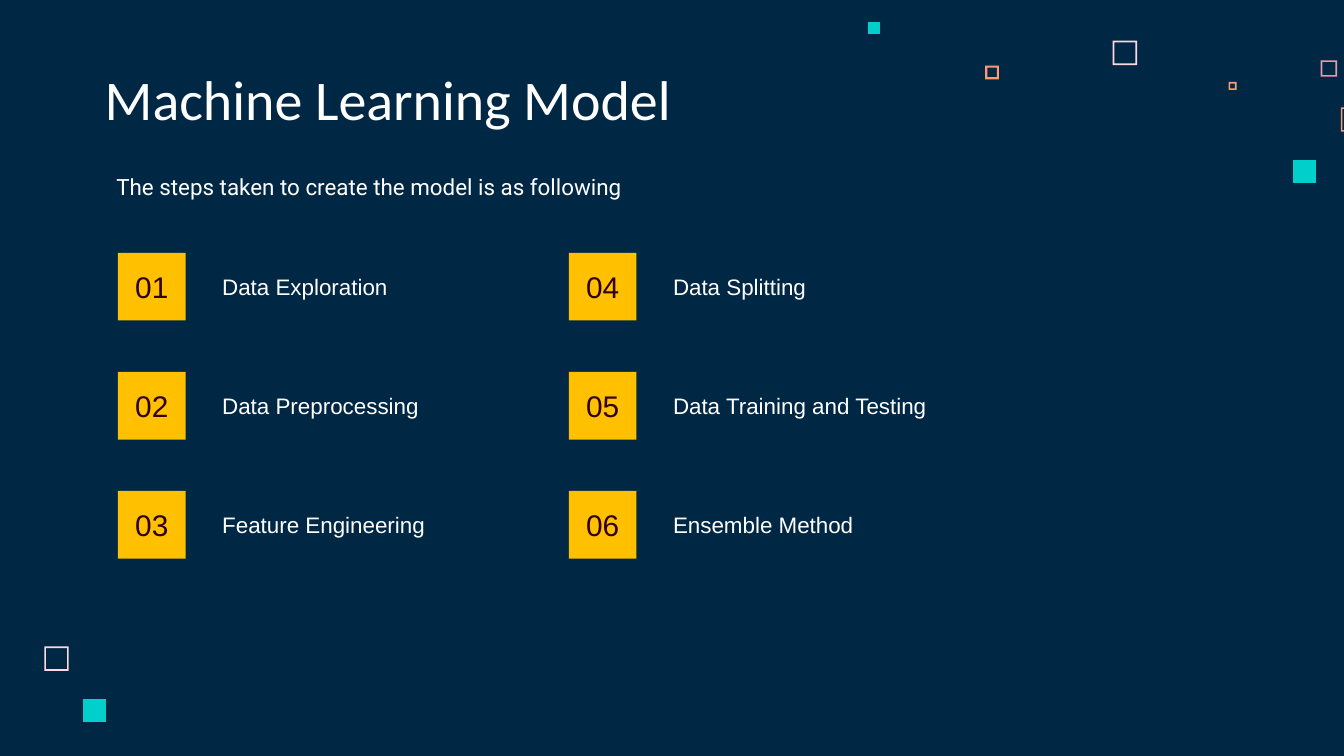
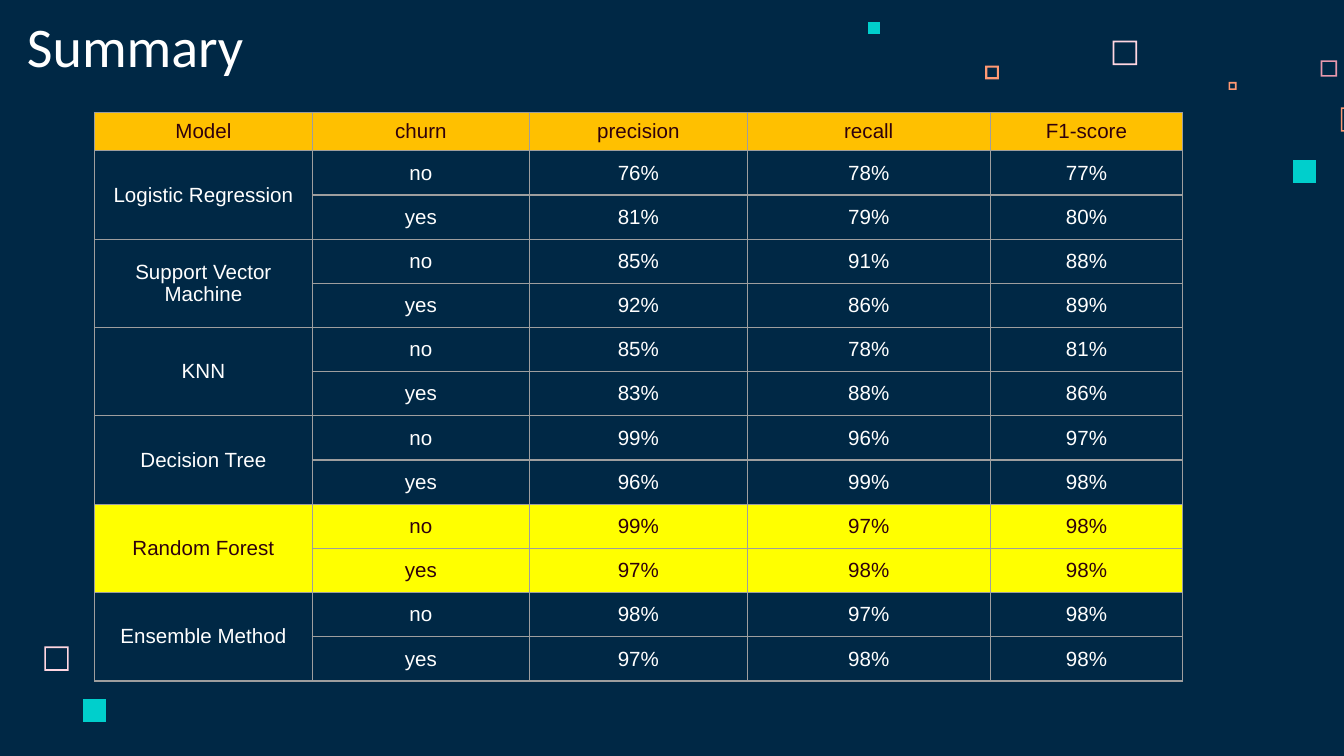
from itertools import product

from lxml.etree import SubElement
from pptx import Presentation
from pptx.dml.color import RGBColor
from pptx.enum.shapes import MSO_SHAPE
from pptx.enum.text import MSO_ANCHOR, MSO_AUTO_SIZE, PP_ALIGN
from pptx.oxml.ns import qn
from pptx.util import Cm, Pt

NAVY = RGBColor(0x00, 0x28, 0x45)
WHITE = RGBColor(0xFF, 0xFF, 0xFF)
MAROON = RGBColor(0x2F, 0x00, 0x0D)
AMBER = RGBColor(0xFF, 0xC0, 0x00)
YELLOW = RGBColor(0xFF, 0xFF, 0x00)
TEAL = RGBColor(0x00, 0xCF, 0xCC)
BLUSH = RGBColor(0xFF, 0xD6, 0xE1)
ROSE = RGBColor(0xE8, 0x98, 0xAC)
CORAL = RGBColor(0xFF, 0x99, 0x73)
GREY = RGBColor(0x9E, 0x9E, 0x9E)

# Confetti squares: left, top, side, rim thickness (0 = solid), colour
CONFETTI = [
    (21.03, 0.77, 0.46, 0.03, BLUSH),
    (24.96, 1.14, 0.31, 0.03, ROSE),
    (23.22, 1.55, 0.15, 0.03, CORAL),
    (25.34, 2.03, 0.46, 0.03, CORAL),
    (24.43, 3.02, 0.44, 0, TEAL),
    (18.62, 1.24, 0.26, 0.04, CORAL),
    (16.41, 0.41, 0.23, 0, TEAL),
    (0.84, 12.22, 0.46, 0.03, BLUSH),
    (1.57, 13.21, 0.44, 0, TEAL),
]

# Step name and width of its label
STEPS = [
    ("Data Exploration", 3.84),
    ("Data Preprocessing", 4.42),
    ("Feature Engineering", 4.95),
    ("Data Splitting", 3.84),
    ("Data Training and Testing", 6.81),
    ("Ensemble Method", 4.95),
]
STEPS_PER_COLUMN = 3

HEADINGS = ["Model", "churn", "precision", "recall", "F1-score"]
COLUMN_WIDTHS = [4.11, 4.11, 4.11, 4.6, 3.63]
# Model: scores for churn "no", scores for churn "yes"
SCORES = {
    "Logistic Regression": [(76, 78, 77), (81, 79, 80)],
    "Support Vector Machine": [(85, 91, 88), (92, 86, 89)],
    "KNN": [(85, 78, 81), (83, 88, 86)],
    "Decision Tree": [(99, 96, 97), (96, 99, 98)],
    "Random Forest": [(99, 97, 98), (97, 98, 98)],
    "Ensemble Method": [(98, 97, 98), (97, 98, 98)],
}
BEST_MODEL = "Random Forest"


def style_text(paragraph, size, colour, font="Arial", align=PP_ALIGN.LEFT):
    paragraph.alignment = align
    for run in paragraph.runs:
        run.font.size = Pt(size)
        run.font.name = font
        run.font.color.rgb = colour


def add_label(slide, text, left, top, width, font="Arial"):
    label = slide.shapes.add_textbox(left, top, width, Cm(0.77))
    frame = label.text_frame
    frame.word_wrap = True
    frame.auto_size = MSO_AUTO_SIZE.SHAPE_TO_FIT_TEXT
    frame.text = text
    style_text(frame.paragraphs[0], 12, WHITE, font)


def add_confetti(slide, left, top, side, rim, colour):
    right, bottom = left + side, top + side
    builder = slide.shapes.build_freeform(Cm(left), Cm(top))
    builder.add_line_segments(
        [(Cm(left), Cm(bottom)), (Cm(right), Cm(bottom)), (Cm(right), Cm(top))])
    if rim:
        x1, y1, x2, y2 = (Cm(v) for v in
                          (left + rim, top + rim, right - rim, bottom - rim))
        builder.move_to(x1, y1)
        builder.add_line_segments([(x2, y1), (x2, y2), (x1, y2)])
    square = builder.convert_to_shape()
    square.shadow.inherit = False
    square.fill.solid()
    square.fill.fore_color.rgb = colour
    square.line.fill.background()


def add_titled_slide(prs, title, left, top):
    """Slide with the shared background, confetti and title."""
    slide = prs.slides.add_slide(prs.slide_layouts[6])
    slide.background.fill.solid()
    slide.background.fill.fore_color.rgb = NAVY
    for square in CONFETTI:
        add_confetti(slide, *square)

    heading = slide.shapes.add_textbox(left, top, Cm(15.11), Cm(1.6))
    frame = heading.text_frame
    frame.word_wrap = True
    frame.vertical_anchor = MSO_ANCHOR.BOTTOM
    frame.margin_top = frame.margin_bottom = Cm(0.25)
    frame.text = title
    style_text(frame.paragraphs[0], 30, WHITE, "Calibri")
    return slide


def add_step(slide, number, name, label_width, left, top):
    """Numbered badge with the step name to its right."""
    badge = slide.shapes.add_shape(
        MSO_SHAPE.RECTANGLE, left, top, Cm(1.28), Cm(1.28))
    badge.shadow.inherit = False
    badge.fill.solid()
    badge.fill.fore_color.rgb = AMBER
    badge.line.fill.background()
    frame = badge.text_frame
    frame.vertical_anchor = MSO_ANCHOR.MIDDLE
    frame.margin_top = frame.margin_bottom = Cm(0.25)
    frame.text = f"{number:02}"
    style_text(frame.paragraphs[0], 16, MAROON, align=PP_ALIGN.CENTER)
    add_label(slide, name, left + Cm(1.72), top + Cm(0.25), Cm(label_width))


def add_steps_grid(slide, left, top):
    for index, (name, label_width) in enumerate(STEPS):
        column, row = divmod(index, STEPS_PER_COLUMN)
        add_step(slide, index + 1, name, label_width,
                 left + column * Cm(8.52), top + row * Cm(2.25))


def set_borders(cell):
    properties = cell._tc.get_or_add_tcPr()
    for position, side in enumerate(("lnL", "lnR", "lnT", "lnB")):
        border = SubElement(properties, qn(f"a:{side}"), w=str(Pt(0.75)))
        fill = SubElement(border, qn("a:solidFill"))
        SubElement(fill, qn("a:srgbClr"), val=str(GREY))
        properties.insert(position, border)


def style_cell(cell, fill, colour, tight):
    if fill is None:
        cell.fill.background()
    else:
        cell.fill.solid()
        cell.fill.fore_color.rgb = fill
    set_borders(cell)
    cell.vertical_anchor = MSO_ANCHOR.MIDDLE
    if tight:
        cell.margin_left = cell.margin_right = Cm(0.08)
        cell.margin_top = cell.margin_bottom = Cm(0.05)
    style_text(cell.text_frame.paragraphs[0], 11, colour, align=PP_ALIGN.CENTER)


def add_scores_table(slide, left, top):
    # One header row, then a "no" and a "yes" row per model
    rows = [(HEADINGS, AMBER, MAROON)]
    for model, (no_scores, yes_scores) in SCORES.items():
        look = (YELLOW, MAROON) if model == BEST_MODEL else (None, WHITE)
        rows.append(([model, "no", *(f"{s}%" for s in no_scores)], *look))
        rows.append((["", "yes", *(f"{s}%" for s in yes_scores)], *look))

    header_height, body_height = Cm(0.61), Cm(10.02)
    table = slide.shapes.add_table(
        len(rows), len(HEADINGS), left, top,
        Cm(sum(COLUMN_WIDTHS)), header_height + body_height).table
    table.first_row = table.horz_banding = False
    for column, width in zip(table.columns, COLUMN_WIDTHS):
        column.width = Cm(width)
    for index, row in enumerate(table.rows):
        row.height = body_height // (len(rows) - 1) if index else header_height

    last_column = len(HEADINGS) - 1
    for r, c in product(range(len(rows)), range(len(HEADINGS))):
        texts, fill, colour = rows[r]
        cell = table.cell(r, c)
        if texts[c]:
            cell.text_frame.text = texts[c]
        style_cell(cell, fill, colour, tight=c < last_column)

    # Each model name spans its two rows
    for r in range(1, len(rows), 2):
        table.cell(r, 0).merge(table.cell(r + 1, 0))


def build_model_slide(prs):
    slide = add_titled_slide(prs, "Machine Learning Model", Cm(1.73), Cm(1.14))
    add_label(slide, "The steps taken to create the model is as following",
              Cm(1.95), Cm(3.15), Cm(16.76), "Roboto")
    add_steps_grid(slide, Cm(2.23), Cm(4.78))


def build_summary_slide(prs):
    slide = add_titled_slide(prs, "Summary", Cm(0.26), Cm(0.13))
    add_scores_table(slide, Cm(1.79), Cm(2.13))


def main():
    prs = Presentation()
    prs.slide_width, prs.slide_height = Cm(25.4), Cm(14.29)
    build_model_slide(prs)
    build_summary_slide(prs)
    prs.save("out.pptx")


if __name__ == "__main__":
    main()
